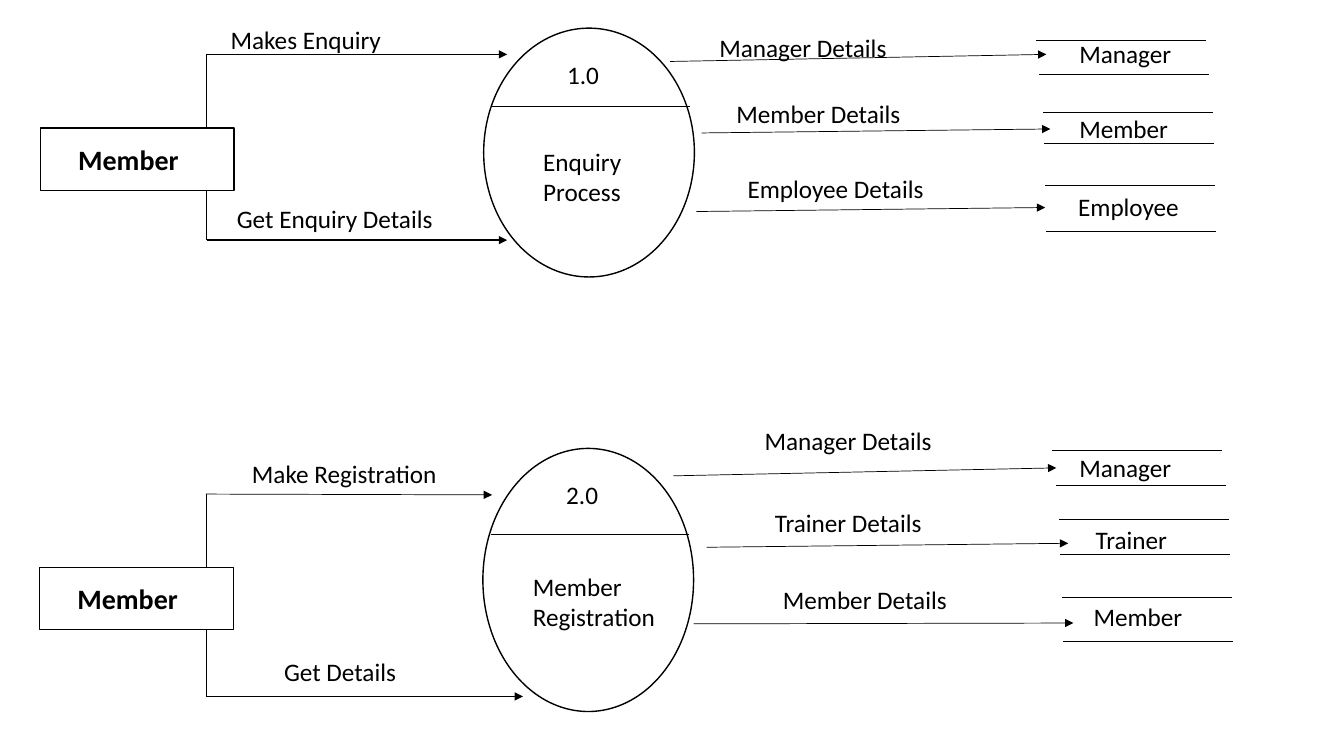
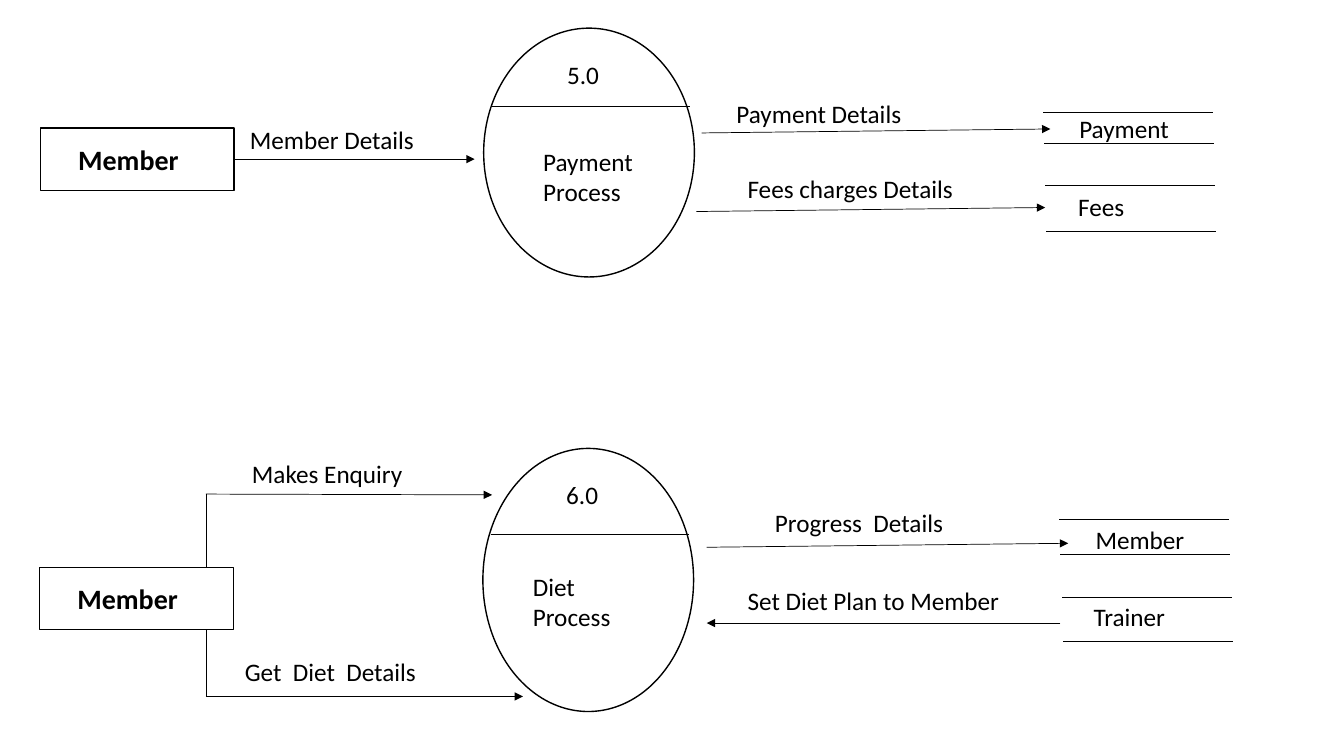
from dataclasses import dataclass, replace

from lxml import etree
from pptx import Presentation
from pptx.dml.color import RGBColor
from pptx.enum.shapes import MSO_CONNECTOR, MSO_SHAPE
from pptx.enum.text import MSO_ANCHOR, MSO_AUTO_SIZE, PP_ALIGN
from pptx.oxml.ns import qn
from pptx.util import Cm, Pt

BLACK = RGBColor(0x00, 0x00, 0x00)
WHITE = RGBColor(0xFF, 0xFF, 0xFF)
FONT = "Calibri"
THIN, OUTLINE, THICK = 0.5, 1, 1.5

STRAIGHT = MSO_CONNECTOR.STRAIGHT
RECT, OVAL = MSO_SHAPE.RECTANGLE, MSO_SHAPE.OVAL
LEFT, MIDDLE = PP_ALIGN.LEFT, MSO_ANCHOR.MIDDLE
FIT = MSO_AUTO_SIZE.SHAPE_TO_FIT_TEXT

# Sizes in cm that every diagram shares
ENTITY_W, ENTITY_H = 4.88, 1.57
TURN_X = 4.19
OVAL_X, OVAL_W = 11.17, 5.31
DIVIDER_W = 5.0
STORE_W = 4.28
TEXT_H = 1.02


@dataclass
class Flow:
    """Arrow and its label, in cm from the corner of the diagram."""
    start: tuple
    end: tuple
    label_at: tuple
    label_w: float = 5.6
    weight: float = THIN


@dataclass
class Store:
    """Data store: starts of its two bars and the place of its name."""
    upper: tuple
    lower: tuple
    name_at: tuple


@dataclass
class Frame:
    """Place of a diagram and of the parts within it."""
    x: float
    y: float
    oval_h: float
    divider_y: float
    title_at: tuple
    entity_y: float
    inputs: list
    outputs: list
    stores: list


UPPER = Frame(
    x=1.02, y=0.71, oval_h=6.27, divider_y=1.98, title_at=(1.25, 2.85),
    entity_y=2.52,
    inputs=[Flow((TURN_X, 0.66), (11.76, 0.66), (4.54, -0.23), 7.2),
            Flow((TURN_X, 5.34), (11.76, 5.34), (4.7, 4.29), 6.0, THICK)],
    outputs=[Flow((15.87, 0.84), (25.35, 0.66), (16.86, -0.02)),
             Flow((16.66, 2.64), (25.45, 2.54), (17.29, 1.65)),
             Flow((16.53, 4.62), (25.32, 4.52), (17.57, 3.53), 6.4)],
    stores=[Store((25.09, 0.31), (25.17, 1.17), (25.93, 0.13)),
            Store((25.27, 2.11), (25.29, 2.9), (25.93, 2.01)),
            Store((25.32, 3.96), (25.35, 5.11), (25.9, 3.99))])

LOWER = Frame(
    x=1.0, y=11.3, oval_h=6.63, divider_y=2.16, title_at=(1.01, 2.97),
    entity_y=3.0,
    inputs=[Flow((TURN_X, 1.15), (11.4, 1.17), (5.1, 0.13), 6.2),
            Flow((TURN_X, 6.25), (12.18, 6.25), (5.91, 5.11), 5.0)],
    outputs=[Flow((15.97, 0.69), (25.62, 0.49), (18.02, -0.71)),
             Flow((16.81, 2.49), (25.92, 2.39), (18.28, 1.37)),
             Flow((16.48, 4.42), (26.05, 4.4), (18.48, 3.31))],
    stores=[Store((25.52, 0.05), (25.62, 0.94), (25.95, -0.02)),
            Store((25.7, 1.78), (25.72, 2.67), (26.36, 1.78)),
            Store((25.77, 3.74), (25.8, 4.85), (26.31, 3.74))])

# Second slide: two stores each, other flows where they differ
PAYMENT = replace(
    UPPER,
    inputs=[Flow((ENTITY_W, 3.3), (10.94, 3.3), (5.03, 2.31), 7.2)],
    outputs=UPPER.outputs[1:], stores=UPPER.stores[1:])
DIET = replace(
    LOWER,
    inputs=[LOWER.inputs[0],
            replace(LOWER.inputs[1], label_at=(4.92, 5.11), label_w=6.3)],
    outputs=[LOWER.outputs[1],
             Flow((25.72, 4.4), (16.81, 4.4), (17.59, 3.33), 7.7)],
    stores=LOWER.stores[1:])

# Frame, process number, process title, input labels, (output label, store)
SLIDES = [
    [(UPPER, "1.0", "Enquiry Process",
      ["Makes Enquiry", "Get Enquiry Details"],
      [("Manager Details", "Manager"), ("Member Details", "Member"),
       ("Employee Details", "Employee")]),
     (LOWER, "2.0", "Member Registration",
      ["Make Registration", "Get Details"],
      [("Manager Details", "Manager"), ("Trainer Details", "Trainer"),
       ("Member Details", "Member")])],
    [(PAYMENT, "5.0", "Payment Process",
      ["Member Details"],
      [("Payment Details", "Payment"), ("Fees charges Details", "Fees")]),
     (DIET, "6.0", "Diet\nProcess",
      ["Makes Enquiry", "Get  Diet  Details"],
      [("Progress  Details", "Member"),
       ("Set Diet Plan to Member", "Trainer")])],
]


def write(tf, text, size=18, bold=False):
    tf.word_wrap = True
    tf.text = text
    for p in tf.paragraphs:
        p.alignment = LEFT
        p.font.name, p.font.size, p.font.bold = FONT, Pt(size), bold
        p.font.color.rgb = BLACK


def add_text(s, x, y, w, text, h=TEXT_H):
    tf = s.shapes.add_textbox(Cm(x), Cm(y), Cm(w), Cm(h)).text_frame
    tf.auto_size = FIT
    write(tf, text)


def add_outline(s, kind, x, y, w, h):
    sp = s.shapes.add_shape(kind, Cm(x), Cm(y), Cm(w), Cm(h))
    sp.shadow.inherit = False
    sp.fill.solid()
    sp.fill.fore_color.rgb = WHITE
    sp.line.color.rgb = BLACK
    sp.line.width = Pt(OUTLINE)
    return sp


def add_line(s, x1, y1, x2, y2, weight=THIN, arrow=False):
    line = s.shapes.add_connector(STRAIGHT, Cm(x1), Cm(y1), Cm(x2), Cm(y2))
    line.line.color.rgb = BLACK
    line.line.width = Pt(weight)
    sp_pr = line._element.spPr
    if arrow:
        etree.SubElement(sp_pr.find(qn("a:ln")), qn("a:tailEnd"),
                         type="triangle")
    etree.SubElement(sp_pr, qn("a:effectLst"))


def add_process(s, frame, number, title):
    x, y = frame.x + OVAL_X, frame.y
    add_outline(s, OVAL, x, y, OVAL_W, frame.oval_h)
    divider_x, divider_y = x + 0.2, y + frame.divider_y
    add_line(s, divider_x, divider_y, divider_x + DIVIDER_W, divider_y)
    add_text(s, x + 1.85, y + 0.66, 3.2, number)
    dx, dy = frame.title_at
    add_text(s, x + dx, y + dy, 4.0, title, h=1.8)


def add_entity(s, x, y, name):
    sp = add_outline(s, RECT, x, y, ENTITY_W, ENTITY_H)
    tf = sp.text_frame
    tf.margin_left = Cm(0.95)
    tf.vertical_anchor = MIDDLE
    write(tf, name, size=20, bold=True)


def add_flow(s, x, y, flow, label):
    (x1, y1), (x2, y2), (dx, dy) = flow.start, flow.end, flow.label_at
    add_line(s, x + x1, y + y1, x + x2, y + y2, flow.weight, arrow=True)
    add_text(s, x + dx, y + dy, flow.label_w, label)


def add_riser(s, frame, flow):
    """Join the entity to a flow that starts above or below it."""
    top, bottom = frame.entity_y, frame.entity_y + ENTITY_H
    level = flow.start[1]
    edge = min(max(level, top), bottom)
    if edge != level:
        x = frame.x + TURN_X
        add_line(s, x, frame.y + edge, x, frame.y + level)


def add_store(s, x, y, store, name):
    for dx, dy in (store.upper, store.lower):
        add_line(s, x + dx, y + dy, x + dx + STORE_W, y + dy)
    dx, dy = store.name_at
    add_text(s, x + dx, y + dy, 4.5, name)


def add_diagram(s, frame, number, title, input_labels, targets):
    x, y = frame.x, frame.y
    # Process and entity
    add_process(s, frame, number, title)
    add_entity(s, x, y + frame.entity_y, "Member")
    # Flows between entity and process
    for flow, label in zip(frame.inputs, input_labels):
        add_riser(s, frame, flow)
        add_flow(s, x, y, flow, label)
    # Flows between process and stores
    for flow, store, (label, name) in zip(frame.outputs, frame.stores,
                                          targets):
        add_store(s, x, y, store, name)
        add_flow(s, x, y, flow, label)


def main():
    prs = Presentation()
    prs.slide_width, prs.slide_height = Cm(33.87), Cm(19.05)
    for diagrams in SLIDES:
        s = prs.slides.add_slide(prs.slide_layouts[6])
        for diagram in diagrams:
            add_diagram(s, *diagram)
    prs.save("out.pptx")


if __name__ == "__main__":
    main()
